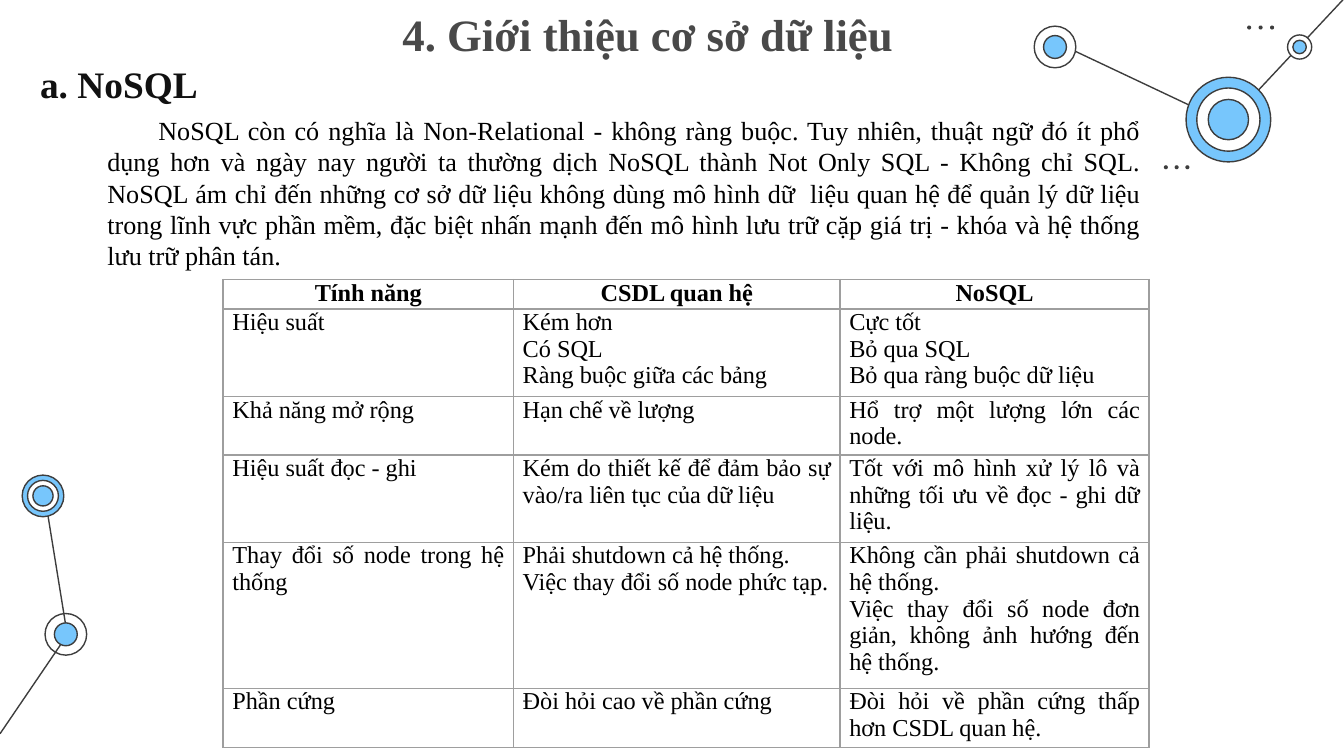
from lxml.etree import SubElement
from pptx import Presentation
from pptx.dml.color import RGBColor
from pptx.enum.shapes import MSO_CONNECTOR, MSO_SHAPE
from pptx.enum.text import MSO_ANCHOR, PP_ALIGN
from pptx.oxml.ns import qn
from pptx.util import Inches, Pt

FONT = "Times New Roman"
WHITE = RGBColor(0xFF, 0xFF, 0xFF)
BLACK = RGBColor(0x00, 0x00, 0x00)
BLUE = RGBColor(0x77, 0xC6, 0xFC)
DARK = RGBColor(0x3D, 0x3D, 0x3D)
TITLE_GRAY = RGBColor(0x49, 0x49, 0x49)
HEADING = RGBColor(0x11, 0x11, 0x11)
BORDER = "9E9E9E"

LINKS = [
    (0.5, 4.72, 0.33, 3.67), (0, 5.46, 0.49, 4.74),
    (9.14, 0.92, 7.87, 0.32), (10, -0.01, 9.14, 0.91),
]
# Centre x, centre y, then (diameter, fill) from the outermost ring inwards
NODES = [
    (0.49, 4.72, [(0.31, None), (0.17, BLUE)]),
    (0.32, 3.69, [(0.31, BLUE), (0.23, WHITE), (0.15, BLUE)]),
    (9.14, 0.89, [(0.63, BLUE), (0.47, WHITE), (0.3, BLUE)]),
    (7.85, 0.35, [(0.31, WHITE), (0.17, BLUE)]),
    (9.67, 0.35, [(0.18, WHITE), (0.1, BLUE)]),
]
# First x, last x, y of each row of three dots
DOT_ROWS = [(9.28, 9.45, 0.19), (8.66, 8.82, 1.23)]
DOT_SIZE = 0.03

INTRO = (
    "NoSQL còn có nghĩa là Non-Relational - không ràng buộc. Tuy nhiên, thuật ngữ đó "
    "ít phổ dụng hơn và ngày nay người ta thường dịch NoSQL thành Not Only SQL - Không "
    "chỉ SQL. NoSQL ám chỉ đến những cơ sở dữ liệu không dùng mô hình dữ  liệu quan hệ "
    "để quản lý dữ liệu trong lĩnh vực phần mềm, đặc biệt nhấn mạnh đến mô hình lưu trữ "
    "cặp giá trị - khóa và hệ thống lưu trữ phân tán."
)
COL_WIDTHS = [2.16, 2.43, 2.3]
ROW_HEIGHTS = [0.22, 0.65, 0.43, 0.65, 1.08, 0.44]
ROWS = [
    ["Tính năng", "CSDL quan hệ", "NoSQL"],
    ["Hiệu suất", "Kém hơn \nCó SQL\nRàng buộc giữa các bảng",
     "Cực tốt\nBỏ qua SQL\nBỏ qua ràng buộc dữ liệu"],
    ["Khả năng mở rộng", "Hạn chế về lượng", "Hổ trợ một lượng lớn các node."],
    ["Hiệu suất đọc - ghi", "Kém do thiết kế để đảm bảo sự vào/ra liên tục của dữ liệu",
     "Tốt với mô hình xử lý lô và những tối ưu về đọc - ghi dữ liệu."],
    ["Thay đổi số node trong hệ thống",
     "Phải shutdown cả hệ thống.\nViệc thay đổi số node phức tạp.",
     "Không cần phải shutdown cả hệ thống.\n"
     "Việc thay đổi số node đơn giản, không ảnh hướng đến hệ thống."],
    ["Phần cứng ", "Đòi hỏi cao về phần cứng", "Đòi hỏi về phần cứng thấp hơn CSDL quan hệ."],
]


def add_run(p, text, size, color, bold=False):
    r = p.add_run()
    r.text = text
    r.font.name = FONT
    r.font.size = Pt(size)
    r.font.bold = bold
    r.font.color.rgb = color


def add_link(s, x1, y1, x2, y2):
    line = s.shapes.add_connector(
        MSO_CONNECTOR.STRAIGHT, Inches(x1), Inches(y1), Inches(x2), Inches(y2))
    line.line.color.rgb = DARK
    line.line.width = Pt(0.75)
    SubElement(line._element.spPr, qn("a:effectLst"))


def add_circle(s, x, y, size, fill, outlined=True):
    sp = s.shapes.add_shape(
        MSO_SHAPE.OVAL, Inches(x), Inches(y), Inches(size), Inches(size))
    sp.shadow.inherit = False
    if fill is None:
        sp.fill.background()
    else:
        sp.fill.solid()
        sp.fill.fore_color.rgb = fill
    if outlined:
        sp.line.color.rgb = DARK
        sp.line.width = Pt(0.75)
    else:
        sp.line.fill.background()


def add_node(s, cx, cy, rings):
    for size, fill in rings:
        add_circle(s, cx - size / 2, cy - size / 2, size, fill)


def add_dots(s, first, last, y):
    for x in (first, (first + last) / 2, last):
        add_circle(s, x, y, DOT_SIZE, DARK, outlined=False)


def set_title(s, text):
    title = s.shapes.title
    title.left, title.top = Inches(1.96), Inches(-0.05)
    title.width, title.height = Inches(5.72), Inches(0.48)
    tf = title.text_frame
    tf.margin_left = tf.margin_right = tf.margin_top = tf.margin_bottom = Inches(0.1)
    tf.vertical_anchor = MSO_ANCHOR.TOP
    p = tf.paragraphs[0]
    p.alignment = PP_ALIGN.CENTER
    add_run(p, text, 24, TITLE_GRAY, bold=True)


def add_text(s, x, y, w, h, text, size, color, bold=False, wrap=True):
    box = s.shapes.add_textbox(Inches(x), Inches(y), Inches(w), Inches(h))
    box.text_frame.word_wrap = wrap
    p = box.text_frame.paragraphs[0]
    add_run(p, text, size, color, bold)
    return p


def set_borders(cell):
    tc_pr = cell._tc.get_or_add_tcPr()
    for i, side in enumerate(("a:lnL", "a:lnR", "a:lnT", "a:lnB")):
        ln = tc_pr.makeelement(qn(side), {"w": str(Pt(0.75))})
        fill = SubElement(ln, qn("a:solidFill"))
        SubElement(fill, qn("a:srgbClr"), val=BORDER)
        tc_pr.insert(i, ln)


def fill_cell(cell, text, align, bold):
    cell.fill.background()
    cell.margin_left = cell.margin_right = Inches(0.07)
    cell.margin_top = cell.margin_bottom = 0
    set_borders(cell)
    tf = cell.text_frame
    for i, line in enumerate(text.split("\n")):
        p = tf.add_paragraph() if i else tf.paragraphs[0]
        p.alignment = align
        add_run(p, line, 13, BLACK, bold)


def add_comparison(s):
    table = s.shapes.add_table(
        len(ROWS), len(COL_WIDTHS), Inches(1.66), Inches(2.08),
        Inches(sum(COL_WIDTHS)), Inches(sum(ROW_HEIGHTS))).table
    table.first_row = table.horz_banding = False
    for col, width in zip(table.columns, COL_WIDTHS):
        col.width = Inches(width)
    for i, (height, texts) in enumerate(zip(ROW_HEIGHTS, ROWS)):
        table.rows[i].height = Inches(height)
        align = PP_ALIGN.JUSTIFY if i else PP_ALIGN.CENTER
        for j, text in enumerate(texts):
            fill_cell(table.cell(i, j), text, align, bold=i == 0)


def main():
    prs = Presentation()
    prs.slide_width = Inches(10)
    prs.slide_height = prs.slide_width * 9 // 16
    s = prs.slides.add_slide(prs.slide_layouts[5])

    # Network decoration
    for link in LINKS:
        add_link(s, *link)
    for node in NODES:
        add_node(s, *node)
    for row in DOT_ROWS:
        add_dots(s, *row)

    # Title, heading and introduction
    set_title(s, "4. Giới thiệu cơ sở dữ liệu")
    p = add_text(s, 0.7, 0.8, 7.89, 1.28, INTRO, 14, BLACK)
    p.alignment = PP_ALIGN.JUSTIFY
    p._p.get_or_add_pPr().set("indent", str(Inches(0.38)))
    add_text(s, 0.2, 0.41, 1.46, 0.44, "a. NoSQL", 20, HEADING, bold=True, wrap=False)

    # Comparison table
    add_comparison(s)
    prs.save("out.pptx")


if __name__ == "__main__":
    main()
